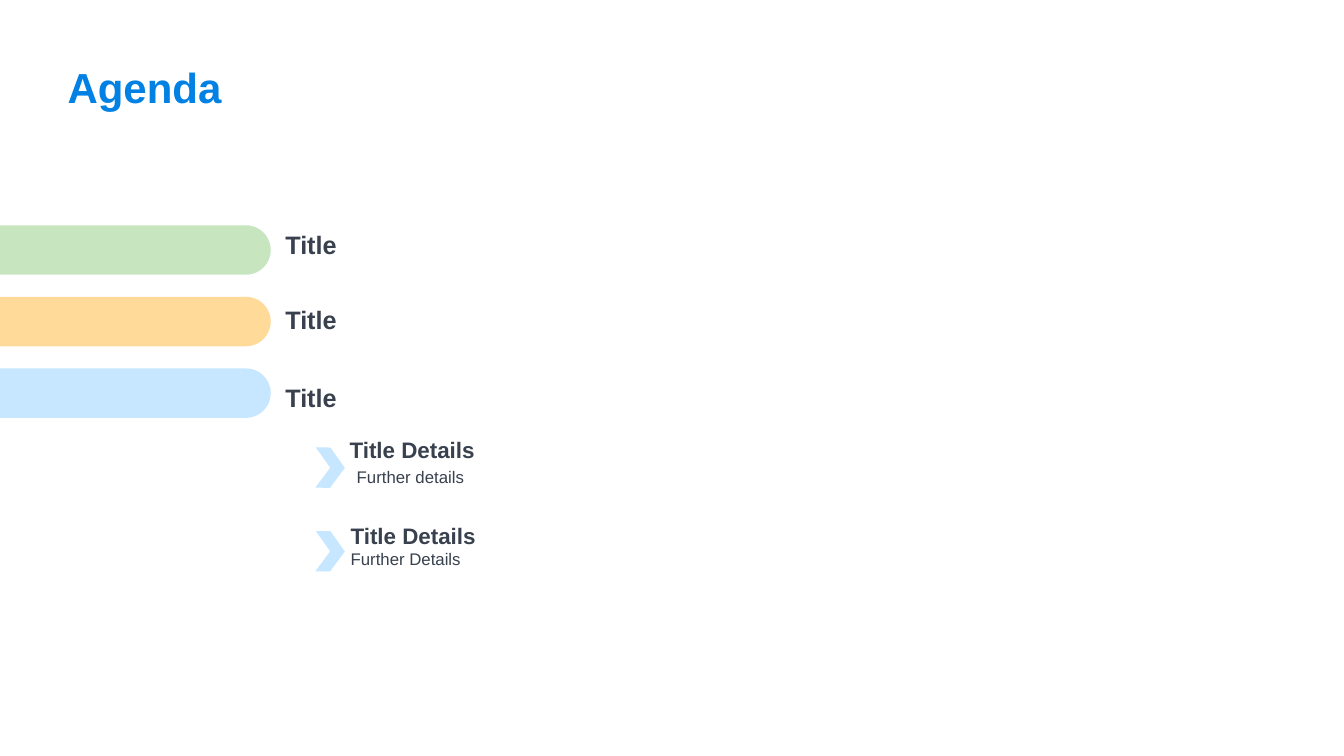
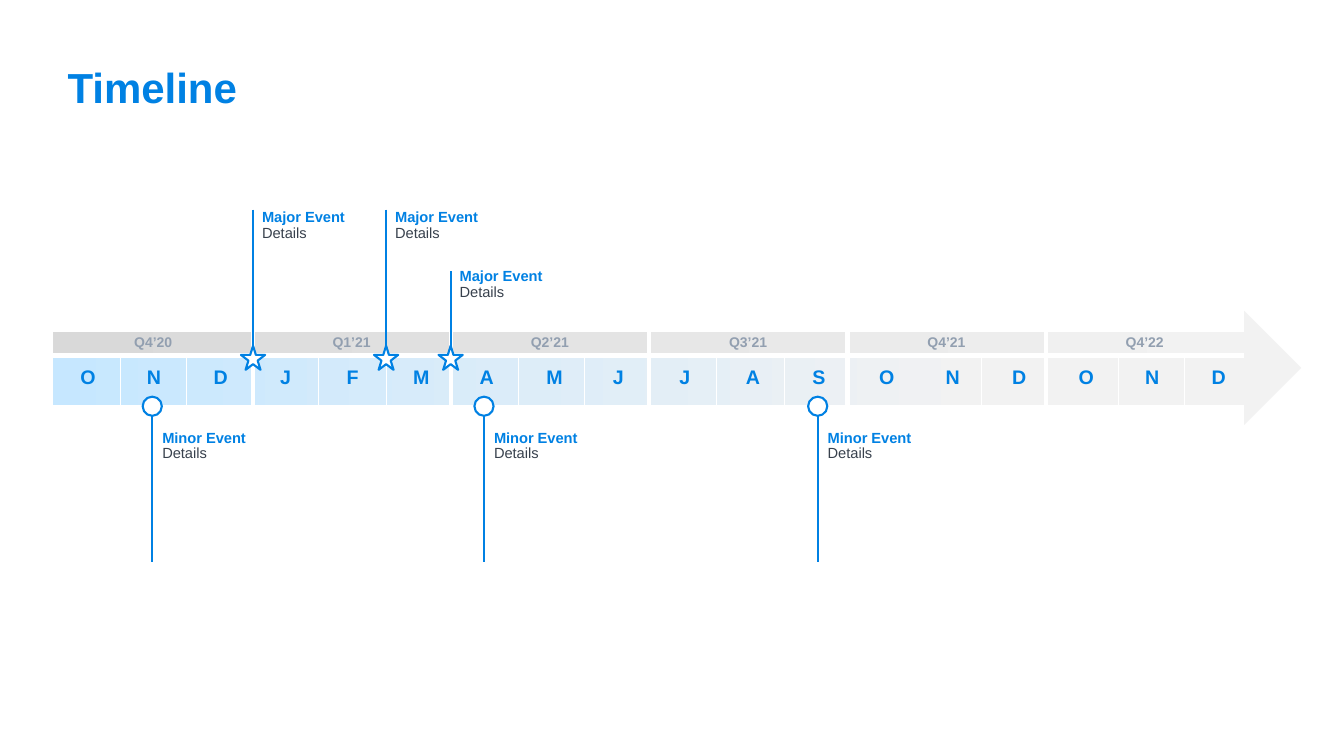
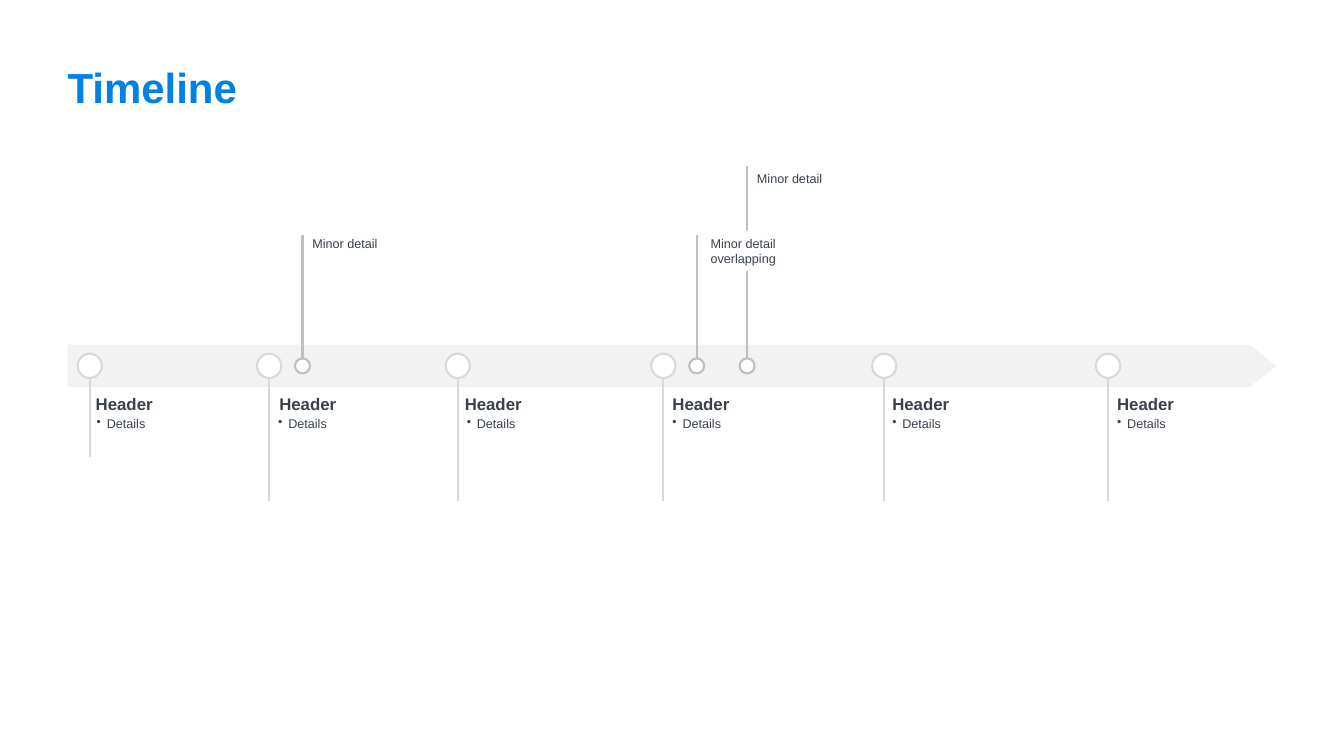
from lxml import etree
from pptx import Presentation
from pptx.dml.color import RGBColor
from pptx.enum.shapes import MSO_CONNECTOR, MSO_SHAPE
from pptx.enum.text import MSO_ANCHOR, PP_ALIGN
from pptx.oxml.ns import qn
from pptx.util import Inches, Pt

RECT = MSO_SHAPE.RECTANGLE
OVAL = MSO_SHAPE.OVAL
STAR = MSO_SHAPE.STAR_5_POINT
CHEVRON = MSO_SHAPE.CHEVRON
TRIANGLE = MSO_SHAPE.RIGHT_TRIANGLE
ROUNDED_END = MSO_SHAPE.ROUND_2_SAME_RECTANGLE
STRAIGHT = MSO_CONNECTOR.STRAIGHT
TOP = MSO_ANCHOR.TOP
LEFT, CENTER = PP_ALIGN.LEFT, PP_ALIGN.CENTER

COLORS = {
    "blue": "0081E3",
    "dark": "38414D",
    "slate": "929FB0",
    "white": "FFFFFF",
    "green": "C7E6C0",
    "orange": "FFDA99",
    "sky": "C6E7FF",
    "pale": "F2F2F2",
    "light": "D9D9D9",
    "gray": "BFBFBF",
}

STYLES = {
    "title": ("blue", {"size": Pt(30), "bold": True}),
    "agenda": ("dark", {"size": Pt(18), "bold": True}),
    "topic": ("dark", {"size": Pt(16), "bold": True}),
    "further": ("dark", {"size": Pt(12), "bold": False}),
    "month": ("blue", {"size": Pt(14), "bold": True}),
    "quarter": ("slate", {"size": Pt(10), "bold": True}),
    "event": ("blue", {"size": Pt(10.5), "bold": True}),
    "event details": ("dark", {"size": Pt(10.5), "bold": False}),
    "header": ("dark", {"size": Pt(12), "bold": True}),
    "small": ("dark", {"size": Pt(9), "bold": False}),
}

PADDED = (0.1, 0.05, 0.1, 0.05)
FLUSH = (0, 0, 0, 0)
TIMELINE_LEFT = 0.54
QUARTER_WIDTH = 11.8 / 6
MONTH_STEP = 0.66


def rgb(color):
    return RGBColor.from_string(COLORS[color])


def add_bullet(paragraph, indent=0.1):
    props = paragraph._p.get_or_add_pPr()
    props.set("marL", str(Inches(indent)))
    props.set("indent", str(-Inches(indent)))
    etree.SubElement(props, qn("a:buChar")).set("char", "•")


def write(shape, lines, insets=PADDED, align=LEFT, spacing=None,
          wrap=True, bullet=False):
    frame = shape.text_frame
    margins = ("margin_left", "margin_top", "margin_right", "margin_bottom")
    for margin, inset in zip(margins, insets):
        setattr(frame, margin, Inches(inset))
    frame.word_wrap = wrap
    frame.vertical_anchor = TOP
    for number, (text, style) in enumerate(lines):
        paragraph = frame.add_paragraph() if number else frame.paragraphs[0]
        paragraph.alignment = align
        if spacing:
            paragraph.line_spacing = spacing
        if bullet:
            add_bullet(paragraph)
        run = paragraph.add_run()
        run.text = text
        color, values = STYLES[style]
        for name, value in values.items():
            setattr(run.font, name, value)
        run.font.name = "Arial"
        run.font.color.rgb = rgb(color)


def add_text(slide, box, *lines, **options):
    write(slide.shapes.add_textbox(*map(Inches, box)), lines, **options)


def paint(shape, fill, outline=None):
    shape.shadow.inherit = False
    shape.fill.solid()
    shape.fill.fore_color.rgb = rgb(fill)
    if outline:
        shape.line.color.rgb = rgb(outline)
        shape.line.width = Pt(1.5)
    else:
        shape.line.fill.background()


def add_figure(slide, preset, box, fill, outline=None, rotation=0):
    figure = slide.shapes.add_shape(preset, *map(Inches, box))
    paint(figure, fill, outline)
    figure.rotation = rotation
    return figure


def add_gradient_band(slide, box, stops):
    band = add_figure(slide, RECT, box, "pale")
    band.fill.gradient()
    band.fill.gradient_angle = 180
    for stop, (position, color) in zip(band.fill.gradient_stops, stops):
        stop.position = position
        stop.color.rgb = rgb(color)


def add_vertical(slide, x, top, bottom, color, width=1.5):
    line = slide.shapes.add_connector(
        STRAIGHT, *map(Inches, (x, top, x, bottom)))
    line.line.color.rgb = rgb(color)
    line.line.width = Pt(width)
    etree.SubElement(line._element.spPr, qn("a:effectLst"))


def add_marker(slide, preset, x, middle, size, outline):
    box = (x - size / 2, middle - size / 2, size, size)
    add_figure(slide, preset, box, "white", outline)


def add_titled_slide(deck, title):
    slide = deck.slides.add_slide(deck.slide_layouts[6])
    add_text(slide, (0.67, 0.57, 12, 0.45), (title, "title"),
             insets=(0, 0.04, 0, 0))
    return slide


def add_event(slide, x, top, name):
    add_text(slide, (x, top, 1.14, 0.31), (name, "event"),
             ("Details", "event details"), insets=FLUSH, spacing=0.9)


def build_agenda(deck):
    slide = add_titled_slide(deck, "Agenda")
    entries = (("green", 2.23), ("orange", 2.97), ("sky", 3.74))
    for row, (color, text_top) in enumerate(entries):
        bar = add_figure(slide, ROUNDED_END, (1.09, 1.13 + 0.71 * row, 0.49, 2.7),
                         color, rotation=90)
        bar.adjustments[0] = 0.5
        add_text(slide, (2.42, text_top, 8.39, 0.4), ("Title", "agenda"),
                 insets=(0.41, 0.05, 0.1, 0.05))

    topics = (
        (4.44, 3.37, 4.28, "Further details", 3.44, 4.58),
        (5.27, 3.38, 5.13, "Further Details", 3.38, 5.39),
    )
    for chevron_top, left, top, further, further_left, further_top in topics:
        add_figure(slide, CHEVRON, (3.13, chevron_top, 0.29, 0.4), "sky",
                   rotation=0.7)
        add_text(slide, (left, top, 1.46, 0.37), ("Title Details", "topic"),
                 wrap=False)
        add_text(slide, (further_left, further_top, 6.7, 0.3),
                 (further, "further"))


def build_calendar(slide):
    add_gradient_band(slide, (0.53, 3.55, 11.83, 0.47),
                      ((0.22, "pale"), (1, "sky")))
    add_figure(slide, TRIANGLE, (11.94, 3.25, 0.8, 0.8), "pale", rotation=225)
    for x in (1.19, 1.85, 3.16, 3.83, 5.14, 5.8, 7.11, 7.78, 9.73, 11.09, 11.75):
        add_vertical(slide, x, 3.52, 4.04, "white", 0.5)
    for number, month in enumerate("ONDJFMAMJJASONDOND"):
        add_text(slide, (0.7 + number * MONTH_STEP, 3.57, 0.3, 0.34),
                 (month, "month"), align=CENTER)

    add_gradient_band(slide, (0.53, 3.29, 11.83, 0.21),
                      ((0, "pale"), (1, "light")))
    quarters = ("Q4’20", "Q1’21", "Q2’21", "Q3’21", "Q4’21", "Q4’22")
    for number, quarter in enumerate(quarters):
        start = TIMELINE_LEFT + number * QUARTER_WIDTH
        add_text(slide, (start - 0.01, 3.26, 1.98, 0.27), (quarter, "quarter"),
                 align=CENTER)
        if number:
            add_vertical(slide, start, 3.26, 4.04, "white", 3)


def build_event_timeline(deck):
    slide = add_titled_slide(deck, "Timeline")
    build_calendar(slide)
    for x, line_top, text_top in ((2.51, 2.08, 2.08), (3.83, 2.08, 2.08),
                                  (4.47, 2.69, 2.67)):
        add_vertical(slide, x, line_top, 3.53, "blue")
        add_marker(slide, STAR, x, 3.55, 0.24, "blue")
        add_event(slide, x + 0.09, text_top, "Major Event")
    for x in (1.51, 4.8, 8.11):
        add_marker(slide, OVAL, x, 4.03, 0.19, "blue")
        add_vertical(slide, x, 4.12, 5.58, "blue")
        add_event(slide, x + 0.1, 4.27, "Minor Event")


def add_arrow_band(slide):
    outline = [(12.39, 3.42), (12.66, 3.63), (12.39, 3.84), (0.67, 3.84)]
    builder = slide.shapes.build_freeform(Inches(0.67), Inches(3.42))
    builder.add_line_segments([(Inches(x), Inches(y)) for x, y in outline])
    paint(builder.convert_to_shape(), "pale")


def add_minor_point(slide, x, top):
    add_marker(slide, OVAL, x, 3.63, 0.15, "gray")
    add_vertical(slide, x, top, 3.55, "gray")


def build_milestone_timeline(deck):
    slide = add_titled_slide(deck, "Timeline")
    add_arrow_band(slide)
    for x, line_top, text_top in ((7.41, 1.65, 1.65), (3, 2.33, 2.29)):
        add_minor_point(slide, x, line_top)
        add_text(slide, (x, text_top, 1.26, 0.25), ("Minor detail", "small"))
    add_minor_point(slide, 6.91, 2.33)
    overlap = add_figure(slide, RECT, (6.95, 2.29, 1.26, 0.4), "white")
    write(overlap, [("Minor detail overlapping", "small")])

    milestones = (
        (0.89, 0.95, 0.96, 4.53),
        (2.67, 2.77, 2.76, 4.97),
        (4.54, 4.61, 4.63, 4.97),
        (6.58, 6.67, 6.67, 4.97),
        (8.77, 8.85, 8.85, 4.97),
        (10.99, 11.08, 11.08, 4.97),
    )
    for x, header_left, details_left, bottom in milestones:
        add_marker(slide, OVAL, x, 3.63, 0.24, "light")
        add_vertical(slide, x, 3.75, bottom, "light")
        add_text(slide, (header_left, 3.93, 1.56, 0.22), ("Header", "header"),
                 insets=FLUSH, spacing=0.9)
        add_text(slide, (details_left, 4.14, 1.4, 0.7), ("Details", "small"),
                 insets=FLUSH, spacing=0.9, bullet=True)


def main():
    deck = Presentation()
    deck.slide_width = Inches(13.33)
    deck.slide_height = Inches(7.5)
    build_agenda(deck)
    build_event_timeline(deck)
    build_milestone_timeline(deck)
    deck.save("out.pptx")


if __name__ == "__main__":
    main()
